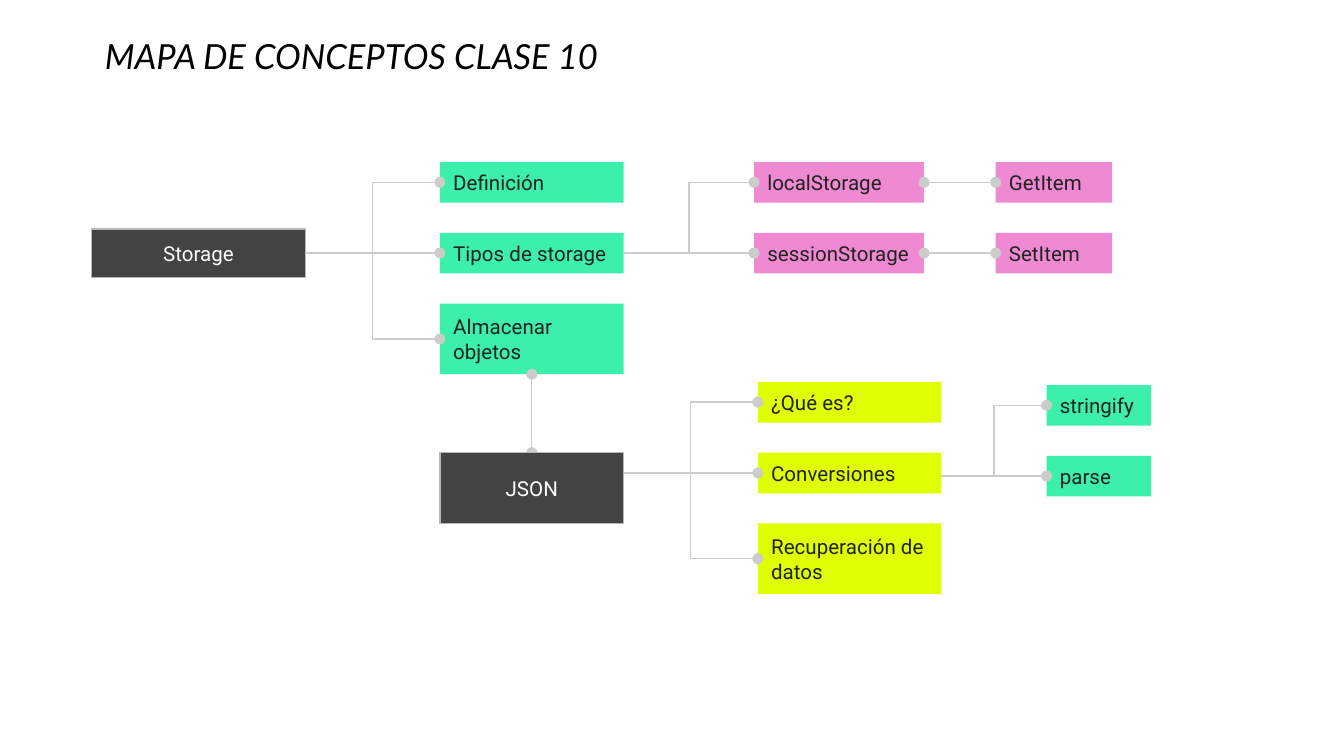
from dataclasses import dataclass

from lxml import etree
from pptx import Presentation
from pptx.dml.color import RGBColor
from pptx.enum import shapes, text
from pptx.oxml import ns
from pptx.util import Pt

BLACK = RGBColor(0x00, 0x00, 0x00)
WHITE = RGBColor(0xFF, 0xFF, 0xFF)
INK = RGBColor(0x22, 0x22, 0x22)
DARK = RGBColor(0x43, 0x43, 0x43)
BORDER = RGBColor(0xB7, 0xB7, 0xB7)
LINK = RGBColor(0xCC, 0xCC, 0xCC)
GREEN = RGBColor(0x3C, 0xEF, 0xAB)
PINK = RGBColor(0xEF, 0x89, 0xD2)
YELLOW = RGBColor(0xE0, 0xFF, 0x00)

TOP, BOTTOM, LEFT, RIGHT = 0, 2, 1, 3
ROW_H, TALL_H, PITCH = 21.8, 37.9, 37.9
STORAGE_Y, JSON_Y, METHODS_Y = 86.8, 204.6, 206.3  # first row of each group


@dataclass(frozen=True)
class Column:
    left: float
    width: float


@dataclass(frozen=True)
class Box:
    label: str
    column: Column
    top: float
    fill: RGBColor
    height: float = ROW_H


TOPICS = Column(235.7, 98.4)
KINDS = Column(404, 91)
ITEMS = Column(533.4, 62.4)
QUESTIONS = Column(406, 98.4)
METHODS = Column(560.7, 56)

STORAGE = Box("Storage", Column(49, 114.6), STORAGE_Y + PITCH - 2.1, DARK, 26)
JSON = Box("JSON", TOPICS, JSON_Y + PITCH, DARK, TALL_H)


def stack(labels: list[str], column: Column, top: float, fill: RGBColor) -> list[Box]:
    """Boxes at an equal pitch; the third one holds two lines."""
    return [Box(label, column, top + i * PITCH, fill, TALL_H if i == 2 else ROW_H)
            for i, label in enumerate(labels)]


def draw_box(slide, box: Box):
    sp = slide.shapes.add_shape(
        shapes.MSO_SHAPE.RECTANGLE, Pt(box.column.left), Pt(box.top),
        Pt(box.column.width), Pt(box.height))
    sp.shadow.inherit = False
    sp.fill.solid()
    sp.fill.fore_color.rgb = box.fill
    is_root = box.fill == DARK
    if is_root:
        sp.line.color.rgb = BORDER
        sp.line.width = Pt(0.75)
    else:
        sp.line.fill.background()
    tf = sp.text_frame
    tf.word_wrap = True
    tf.vertical_anchor = text.MSO_ANCHOR.MIDDLE
    tf.margin_left = tf.margin_right = tf.margin_top = tf.margin_bottom = Pt(7.2)
    p = tf.paragraphs[0]
    p.text = box.label
    p.alignment = text.PP_ALIGN.CENTER if is_root else text.PP_ALIGN.LEFT
    p.font.name = "Roboto"
    p.font.size = Pt(11)
    p.font.color.rgb = WHITE if is_root else INK
    return sp


def draw_link(slide, kind, x: int, y: int, *dots: str):
    """A thin connector that starts at (x, y), with oval ends where asked."""
    cx = slide.shapes.add_connector(kind, x, y, x, y)
    cx.line.color.rgb = LINK
    cx.line.width = Pt(0.75)
    ln = cx.line._get_or_add_ln()
    for dot in dots:
        etree.SubElement(ln, ns.qn(f"a:{dot}"), type="oval")
    etree.SubElement(cx._element.spPr, ns.qn("a:effectLst"))
    return cx


def draw_branch(slide, start, targets: list, y: int) -> None:
    """Elbow links from the right side of start, at height y, to each target."""
    for target in targets:
        cx = draw_link(slide, shapes.MSO_CONNECTOR.ELBOW,
                       start.left + start.width, y, "tailEnd")
        cx.end_connect(target, LEFT)


def middle(sp) -> int:
    return sp.top + sp.height // 2


def main() -> None:
    prs = Presentation()
    prs.slide_width, prs.slide_height = Pt(720), Pt(405)
    s = prs.slides.add_slide(prs.slide_layouts[5])

    # Title
    title = s.shapes.title
    title.left, title.top, title.width, title.height = Pt(49), Pt(15.8), Pt(559.4), Pt(33.1)
    tf = title.text_frame
    tf.word_wrap = True
    tf.auto_size = text.MSO_AUTO_SIZE.NONE
    tf.vertical_anchor = text.MSO_ANCHOR.TOP
    tf.margin_left = tf.margin_right = tf.margin_top = tf.margin_bottom = Pt(7.2)
    p = tf.paragraphs[0]
    p.text = "MAPA DE CONCEPTOS CLASE 10"
    p.alignment = text.PP_ALIGN.LEFT
    p.line_spacing = 0.8
    p.font.name = "Lato"
    p.font.size = Pt(18.5)
    p.font.italic = True
    p.font.color.rgb = BLACK

    # Boxes
    storage = draw_box(s, STORAGE)
    topics, kinds, items, questions, methods = (
        [draw_box(s, box) for box in stack(*group)] for group in (
            (["Definición", "Tipos de storage", "Almacenar objetos"], TOPICS, STORAGE_Y, GREEN),
            (["localStorage", "sessionStorage"], KINDS, STORAGE_Y, PINK),
            (["GetItem", "SetItem"], ITEMS, STORAGE_Y, PINK),
            (["¿Qué es?", "Conversiones", "Recuperación de datos"], QUESTIONS, JSON_Y, YELLOW),
            (["stringify", "parse"], METHODS, METHODS_Y, GREEN),
        ))

    # JSON covers half of the dot that ends on it
    down = draw_link(s, shapes.MSO_CONNECTOR.STRAIGHT, 0, 0, "headEnd", "tailEnd")
    json_box = draw_box(s, JSON)
    down.begin_connect(json_box, TOP)
    down.end_connect(topics[2], BOTTOM)

    # Branches
    draw_branch(s, storage, topics, middle(storage))
    draw_branch(s, topics[1], kinds, middle(topics[1]))
    draw_branch(s, json_box, questions, middle(questions[1]))
    draw_branch(s, questions[1], methods, middle(methods[1]))

    # Each kind of storage to its item
    for kind, item in zip(kinds, items):
        cx = draw_link(s, shapes.MSO_CONNECTOR.STRAIGHT, 0, 0, "headEnd", "tailEnd")
        cx.begin_connect(kind, RIGHT)
        cx.end_connect(item, LEFT)

    prs.save("out.pptx")


if __name__ == "__main__":
    main()
